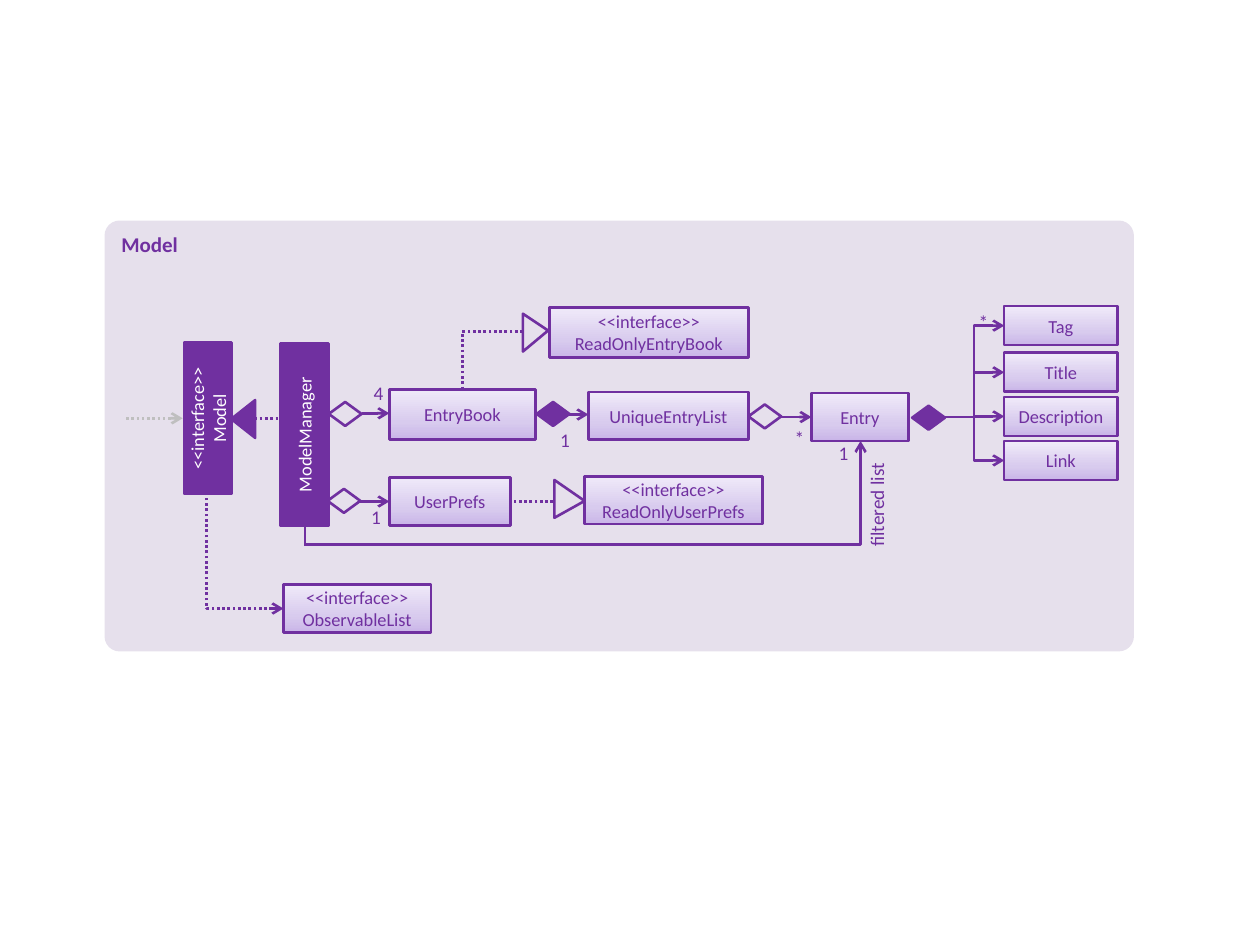
from copy import deepcopy

from pptx import Presentation
from pptx.dml.color import RGBColor
from pptx.enum import dml, shapes, text
from pptx.oxml.ns import qn
from pptx.oxml.xmlchemy import OxmlElement
from pptx.util import Inches, Pt

PURPLE, PANEL, WHITE, GREY = "7030A0", "E6E0EC", "FFFFFF", "BFBFBF"
GRADIENT = [(0, "C9B5E8"), (0.35, "D8CBEE"), (1, "F0EAF9")]
KIND, ALIGN = shapes.MSO_SHAPE, text.PP_ALIGN

# label, left, top, width, height
CLASSES = [
    ("UserPrefs", 3.09, 3.79, 0.96, 0.38),
    ("UniqueEntryList", 4.67, 3.11, 1.27, 0.38),
    ("Entry", 6.44, 3.12, 0.77, 0.38),
    ("EntryBook", 3.09, 3.09, 1.16, 0.4),
    ("<<interface>>\vReadOnlyEntryBook", 4.36, 2.44, 1.58, 0.4),
    ("<<interface>>\vObservableList", 2.25, 4.64, 1.17, 0.38),
    ("<<interface>>\nReadOnlyUserPrefs", 4.64, 3.78, 1.41, 0.38),
]
UPRIGHT_CLASSES = [
    ("ModelManager", 1.69, 3.26, 1.45, 0.38),
    ("<<interface>>\nModel", 1.05, 3.13, 1.2, 0.38),
]
# label, top
FIELDS = [("Tag", 2.43), ("Title", 2.8), ("Description", 3.15), ("Link", 3.5)]
FIELD_LEFT, FIELD_WIDTH, FIELD_HEIGHT = 7.97, 0.9, 0.31
ENTRY_PORT = (7.49, 3.31)

# left, top, fill
DIAMONDS = [
    (2.6, 3.88, None), (2.61, 3.19, None), (5.94, 3.21, None),
    (4.26, 3.19, PURPLE), (7.24, 3.22, PURPLE),
]
# left, top, width, height, rotation, apex, fill
TRIANGLES = [
    (1.78, 3.23, 0.3, 0.19, 270, 0.5, PURPLE),
    (4.1, 2.54, 0.3, 0.2, 90, 0.445, PANEL),
    (4.37, 3.84, 0.3, 0.24, 90, 0.555, PANEL),
]
# label, left, top
MULTIPLICITIES = [
    ("1", 4.38, 3.4), ("*", 6.24, 3.38), ("4", 2.9, 3.03),
    ("1", 2.88, 4.01), ("1", 6.59, 3.5), ("*", 7.7, 2.46),
]
# begin, end, options
LINKS = [
    ((2.85, 3.98), (3.09, 3.98), dict(tail=True)),
    ((2.87, 3.28), (3.09, 3.28), dict(tail=True)),
    ((4.26, 3.29), (4.67, 3.29), dict(tail=True)),
    ((6.2, 3.31), (6.44, 3.31), dict(tail=True)),
    ((2.42, 4.18), (2.42, 4.33), {}),
    ((2.42, 4.32), (6.83, 3.5), dict(bend=2, tail=True)),
    ((1, 3.32), (1.45, 3.32), dict(color=GREY, dotted=True, tail=True)),
    ((2.02, 3.32), (2.26, 3.32), dict(dotted=True)),
    ((2.25, 4.83), (1.64, 3.92), dict(bend=2, dotted=True, head=True)),
    ((4.15, 2.63), (3.67, 3.09), dict(bend=2, dotted=True)),
    ((4.39, 3.98), (4.05, 3.98), dict(dotted=True)),
]


def rgb(value):
    """Turn a hex string into a colour."""
    return RGBColor.from_string(value)


def write(shape, label, size, color, align=ALIGN.CENTER, bold=False):
    """Put a label into a shape and format its runs."""
    frame = shape.text_frame
    frame.text = label
    for paragraph in frame.paragraphs:
        paragraph.alignment = align
        for run in paragraph.runs:
            run.font.name, run.font.size, run.font.bold = "Calibri", Pt(size), bold
            run.font.color.rgb = rgb(color)


def add_box(kind, box, fill=None, line=PURPLE, rotation=0):
    """Add a preset shape with a plain fill and outline."""
    shape = slide.shapes.add_shape(kind, *map(Inches, box))
    shape.shadow.inherit = False
    shape.rotation = rotation
    if fill:
        shape.fill.solid()
        shape.fill.fore_color.rgb = rgb(fill)
    else:
        shape.fill.background()
    if line:
        shape.line.color.rgb = rgb(line)
        shape.line.width = Pt(1.5)
    else:
        shape.line.fill.background()
    return shape


def add_class(label, *box):
    """Add a class box with the lilac gradient."""
    shape = add_box(KIND.RECTANGLE, box)
    shape.fill.gradient()
    shape.fill.gradient_angle = 90
    stops = shape._element.spPr.find(qn("a:gradFill")).find(qn("a:gsLst"))
    stops.insert(1, deepcopy(stops[0]))
    for stop, (position, color) in zip(shape.fill.gradient_stops, GRADIENT):
        stop.position = position
        stop.color.rgb = rgb(color)
    write(shape, label, 10.5, PURPLE)


def add_label(label, box, align=ALIGN.CENTER, margin=0.0):
    """Add a small text box."""
    note = slide.shapes.add_textbox(*map(Inches, box))
    frame = note.text_frame
    frame.word_wrap = True
    if not margin:
        frame.margin_left = frame.margin_right = 0
        frame.margin_top = frame.margin_bottom = 0
    write(note, label, 11, PURPLE, align)
    return note


def add_link(begin, end, bend=0, color=PURPLE, dotted=False, head=False, tail=False):
    """Add a straight or bent connector with optional arrowheads."""
    kind = shapes.MSO_CONNECTOR.ELBOW if bend else shapes.MSO_CONNECTOR.STRAIGHT
    link = slide.shapes.add_connector(kind, *map(Inches, begin + end))
    link.line.color.rgb = rgb(color)
    link.line.width = Pt(1.5)
    if dotted:
        link.line.dash_style = dml.MSO_LINE.ROUND_DOT
    properties = link._element.spPr
    if bend:
        properties.find(qn("a:prstGeom")).set("prst", f"bentConnector{bend}")
    for tag, wanted in (("a:headEnd", head), ("a:tailEnd", tail)):
        if wanted:
            arrow = OxmlElement(tag)
            arrow.set("type", "arrow")
            properties.find(qn("a:ln")).append(arrow)
    properties.append(OxmlElement("a:effectLst"))


deck = Presentation()
deck.slide_width, deck.slide_height = Inches(10), Inches(7.5)
slide = deck.slides.add_slide(deck.slide_layouts[6])

panel = add_box(KIND.ROUNDED_RECTANGLE, (0.83, 1.75, 8.17, 3.42), PANEL, None)
panel.adjustments[0] = 0.035
panel.text_frame.vertical_anchor = text.MSO_ANCHOR.TOP
write(panel, "Model", 12, PURPLE, ALIGN.LEFT, True)

for label, *box in UPRIGHT_CLASSES:
    write(add_box(KIND.RECTANGLE, box, PURPLE, rotation=270), label, 10.5, WHITE)
for entry in CLASSES:
    add_class(*entry)
for label, top in FIELDS:
    add_class(label, FIELD_LEFT, top, FIELD_WIDTH, FIELD_HEIGHT)
for left, top, fill in DIAMONDS:
    add_box(KIND.FLOWCHART_DECISION, (left, top, 0.26, 0.19), fill)
for *box, rotation, apex, fill in TRIANGLES:
    add_box(KIND.ISOSCELES_TRIANGLE, box, fill, rotation=rotation).adjustments[0] = apex

for begin, end, options in LINKS:
    add_link(begin, end, **options)
for label, top in FIELDS:
    add_link(ENTRY_PORT, (FIELD_LEFT, top + FIELD_HEIGHT / 2), bend=3, tail=True)

for label, left, top in MULTIPLICITIES:
    add_label(label, (left, top, 0.21, 0.2))
add_label("filtered list", (6.48, 3.91, 0.96, 0.29), ALIGN.RIGHT, 0.1).rotation = 270

deck.save("out.pptx")
